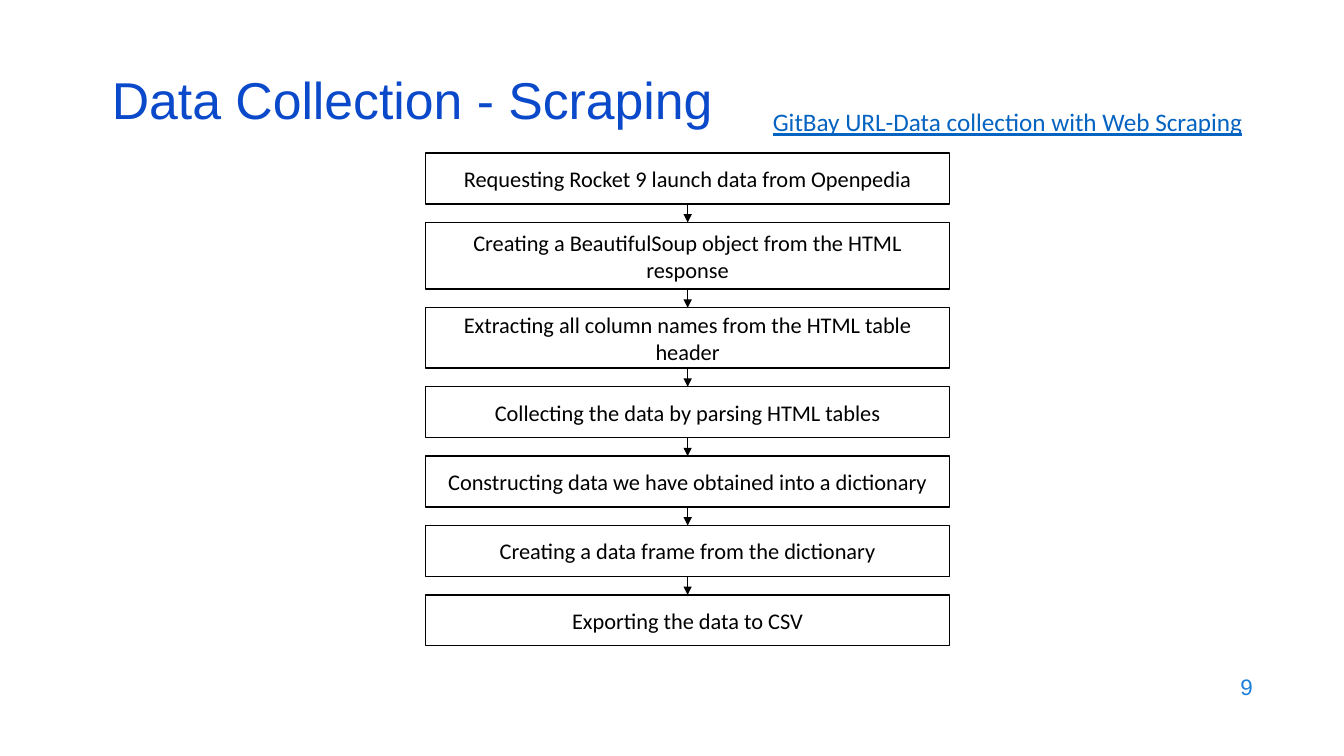
from dataclasses import dataclass
from lxml.etree import SubElement
from pptx import Presentation
from pptx.dml.color import RGBColor
from pptx.enum.shapes import MSO_CONNECTOR, MSO_SHAPE
from pptx.enum.text import MSO_ANCHOR, MSO_AUTO_SIZE, PP_ALIGN
from pptx.oxml.ns import qn
from pptx.util import Pt


@dataclass(frozen=True)
class Theme:
    head: str = "Arial"
    body: str = "Calibri"
    title: str = "0B49CB"
    page: str = "1C7DDB"
    link: str = "0563C1"
    ink: str = "000000"
    paper: str = "FFFFFF"
    big: int = 37
    mid: int = 18
    small: int = 16


def color(code):
    return RGBColor.from_string(code)


def write(frame, text, *, font, size, ink, align=PP_ALIGN.LEFT,
          anchor=MSO_ANCHOR.MIDDLE, space=None, under=False):
    """Fill a text frame with one formatted paragraph."""
    frame.word_wrap = True
    frame.auto_size = MSO_AUTO_SIZE.NONE
    frame.vertical_anchor = anchor
    para = frame.paragraphs[0]
    para.alignment = align
    para.space_before = Pt(0)
    if space:
        para.line_spacing = space
    run = para.add_run()
    run.text = text
    run.font.name = font
    run.font.size = Pt(size)
    run.font.color.rgb = color(ink)
    run.font.underline = under


class Deck:
    def __init__(self, theme):
        self.theme = theme
        self.file = Presentation()
        self.file.slide_width = Pt(960)
        self.file.slide_height = Pt(540)
        self.slide = self.file.slides.add_slide(self.file.slide_layouts[5])

    def title(self, text, left, top, width, height):
        shape = self.slide.shapes.title
        shape.left, shape.top = Pt(left), Pt(top)
        shape.width, shape.height = Pt(width), Pt(height)
        write(shape.text_frame, text, font=self.theme.head,
              size=self.theme.big, ink=self.theme.title, space=0.7)

    def label(self, text, left, top, width, height, **form):
        box = self.slide.shapes.add_textbox(
            Pt(left), Pt(top), Pt(width), Pt(height))
        write(box.text_frame, text, **form)

    def step(self, text, left, top, width, height):
        box = self.slide.shapes.add_shape(
            MSO_SHAPE.RECTANGLE, Pt(left), Pt(top), Pt(width), Pt(height))
        box.shadow.inherit = False
        box.fill.solid()
        box.fill.fore_color.rgb = color(self.theme.paper)
        box.line.color.rgb = color(self.theme.ink)
        box.line.width = Pt(1)
        write(box.text_frame, text, font=self.theme.body,
              size=self.theme.small, ink=self.theme.ink,
              align=PP_ALIGN.CENTER)
        return box

    def arrow(self, upper, lower):
        line = self.slide.shapes.add_connector(
            MSO_CONNECTOR.STRAIGHT, 0, 0, 0, 0)
        line.begin_connect(upper, 2)
        line.end_connect(lower, 0)
        line.line.color.rgb = color(self.theme.ink)
        line.line.width = Pt(0.5)
        props = line.line._get_or_add_ln()
        SubElement(props, qn("a:tailEnd"), type="triangle")
        SubElement(props.getparent(), qn("a:effectLst"))


STEPS = [
    ("Requesting Rocket 9 launch data from Openpedia", 36.3),
    ("Creating a BeautifulSoup object from the HTML response", 47.6),
    ("Extracting all column names from the HTML table header", 43.2),
    ("Collecting the data by parsing HTML tables", 36.3),
    ("Constructing data we have obtained into a dictionary", 36.3),
    ("Creating a data frame from the dictionary", 36.3),
    ("Exporting the data to CSV", 36.3),
]
LEFT, TOP, WIDTH, GAP = 304, 109.4, 374.4, 13.25


def main():
    theme = Theme()
    deck = Deck(theme)
    deck.label("9", 686, 474.5, 216, 31.7, font=theme.head, size=theme.small,
               ink=theme.page, align=PP_ALIGN.RIGHT)
    deck.title("Data Collection - Scraping", 72.7, 54.7, 828, 43.2)
    top, boxes = TOP, []
    for text, height in STEPS:
        boxes.append(deck.step(text, LEFT, top, WIDTH, height))
        top += height + GAP
    for upper, lower in zip(boxes, boxes[1:]):
        deck.arrow(upper, lower)
    deck.label("GitBay URL-Data collection with Web Scraping",
               545, 72.7, 367.2, 28.8, font=theme.body, size=theme.mid,
               ink=theme.link, anchor=MSO_ANCHOR.TOP, under=True)
    deck.file.save("out.pptx")


if __name__ == "__main__":
    main()
